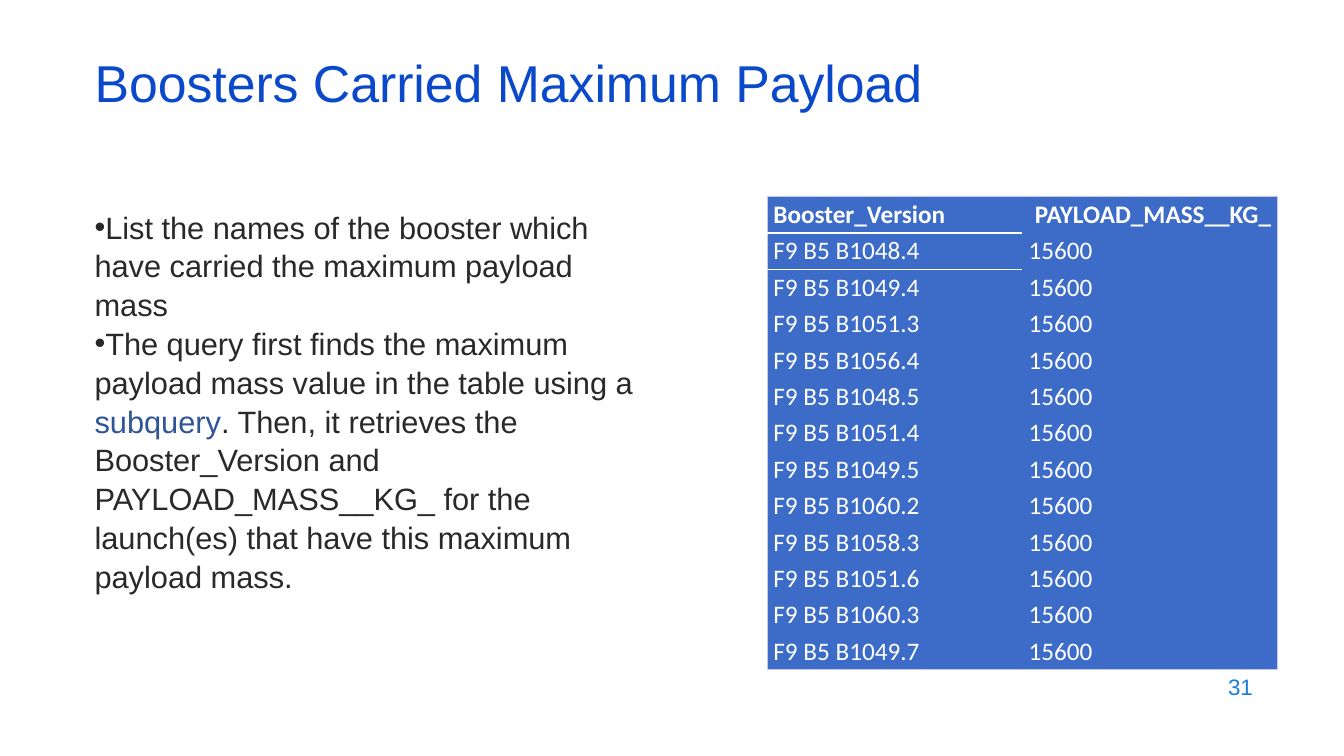
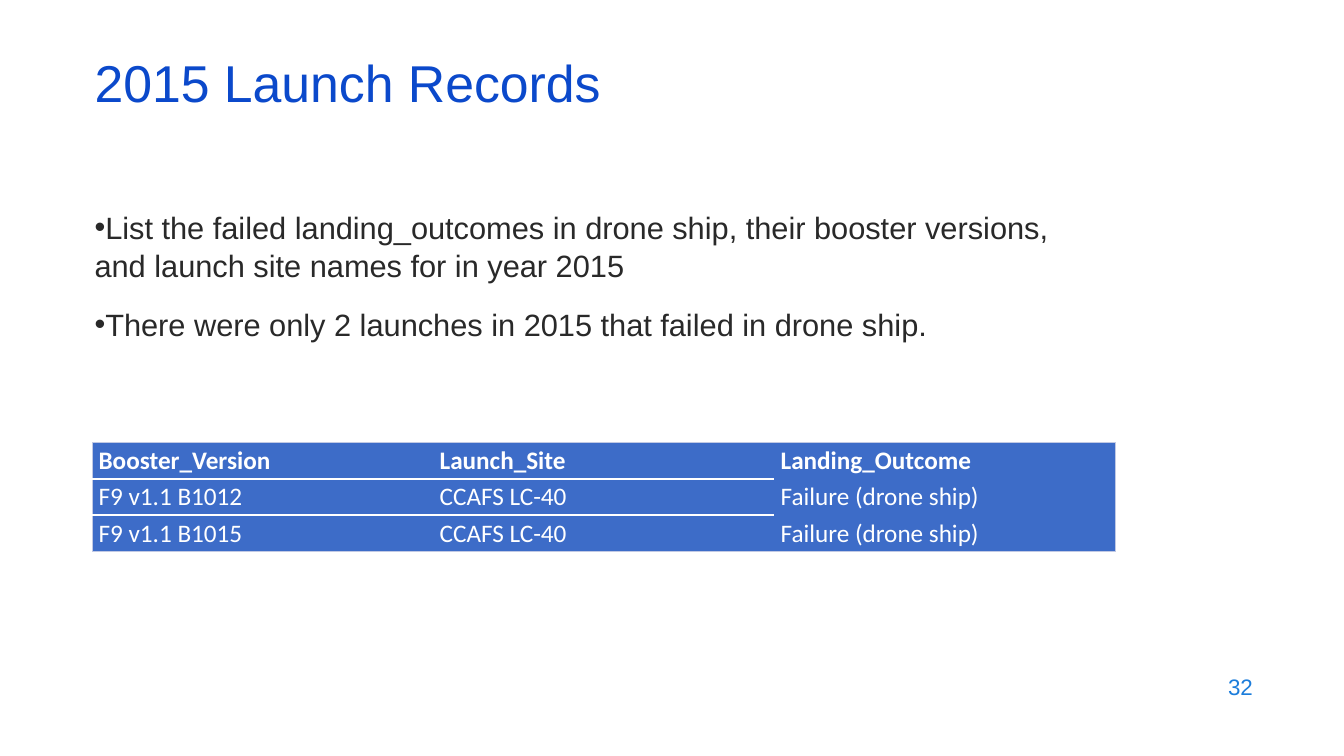
from dataclasses import dataclass

from lxml import etree
from pptx import Presentation
from pptx.dml.color import RGBColor
from pptx.enum.text import MSO_ANCHOR, PP_ALIGN
from pptx.oxml.ns import qn
from pptx.util import Pt

MIDDLE = MSO_ANCHOR.MIDDLE
TOP = MSO_ANCHOR.TOP
LEFT = PP_ALIGN.LEFT
RIGHT = PP_ALIGN.RIGHT
BLANK_LAYOUT = 6
NO_TABLE_STYLE = "{2D5ABB26-0587-4C30-8999-92F81FD0307C}"


@dataclass(frozen=True)
class Theme:
    font: str = "Arial"
    table_font: str = "Calibri"
    title_color: str = "0B49CB"
    body_color: str = "292929"
    accent_color: str = "2F5597"
    number_color: str = "1C7DDB"
    table_fill: str = "3D6CC8"
    table_text: str = "FFFFFF"
    table_edge: str = "C1C9E4"
    title_size: int = 37
    body_size: int = 22
    table_size: int = 18
    number_size: int = 16
    body_spacing: float = 1.05
    title_spacing: float = 0.7
    left: float = 60.5
    body_top: float = 144
    body_height: float = 343
    row_height: float = 26


THEME = Theme()


def format_run(run, size, color, font=THEME.font, bold=False):
    run.font.name = font
    run.font.size = Pt(size)
    run.font.bold = bold
    run.font.color.rgb = RGBColor.from_string(color)


def add_text_frame(slide, left, top, width, height, anchor):
    shape = slide.shapes.add_textbox(Pt(left), Pt(top), Pt(width), Pt(height))
    text_frame = shape.text_frame
    text_frame.word_wrap = True
    text_frame.vertical_anchor = anchor
    return text_frame


def add_line(slide, text, box, size, color, alignment=LEFT, spacing=1.0):
    text_frame = add_text_frame(slide, *box, MIDDLE)
    text_frame.text = text
    paragraph = text_frame.paragraphs[0]
    paragraph.alignment = alignment
    paragraph.line_spacing = spacing
    format_run(paragraph.runs[0], size, color)


def add_bullet(paragraph):
    properties = paragraph._p.get_or_add_pPr()
    properties.set("marL", "0")
    properties.set("indent", "0")
    etree.SubElement(properties, qn("a:buFont")).set("typeface", THEME.font)
    etree.SubElement(properties, qn("a:buChar")).set("char", "•")


def add_bullets(slide, items, width, gap, accent=None):
    text_frame = add_text_frame(
        slide, THEME.left, THEME.body_top, width, THEME.body_height, TOP)
    for index, item in enumerate(items):
        paragraph = text_frame.add_paragraph() if index else text_frame.paragraphs[0]
        add_bullet(paragraph)
        paragraph.line_spacing = THEME.body_spacing
        paragraph.space_before = Pt(gap if index else 0)
        for part in item:
            run = paragraph.add_run()
            run.text = part
            color = THEME.accent_color if part == accent else THEME.body_color
            format_run(run, THEME.body_size, color)


def add_border(cell, side, color, width):
    properties = cell._tc.get_or_add_tcPr()
    line = etree.SubElement(properties, qn(f"a:ln{side}"), w=str(Pt(width)))
    fill = etree.SubElement(line, qn("a:solidFill"))
    etree.SubElement(fill, qn("a:srgbClr"), val=color)


def add_cell_borders(cell, row, column, last_row, last_column):
    edge = (THEME.table_edge, 0.5)
    rule = (THEME.table_text, 1.5)
    ruled = column < last_column
    if column == 0:
        add_border(cell, "L", *edge)
    if column == last_column:
        add_border(cell, "R", *edge)
    if row == 0:
        add_border(cell, "T", *edge)
    elif row == 1 and ruled:
        add_border(cell, "T", *rule)
    if row == last_row:
        add_border(cell, "B", *edge)
    elif row == 0 and ruled:
        add_border(cell, "B", *rule)


def fill_cell(cell, text, bold, alignment):
    cell.fill.solid()
    cell.fill.fore_color.rgb = RGBColor.from_string(THEME.table_fill)
    cell.vertical_anchor = MIDDLE
    cell.margin_left = cell.margin_right = Pt(4.5)
    cell.margin_top = cell.margin_bottom = Pt(2)
    cell.text_frame.text = text
    paragraph = cell.text_frame.paragraphs[0]
    paragraph.alignment = alignment
    format_run(paragraph.runs[0], THEME.table_size, THEME.table_text,
               THEME.table_font, bold)


def add_records(slide, records, left, top, column_width, last_header=LEFT):
    row_count, column_count = len(records), len(records[0])
    frame = slide.shapes.add_table(
        row_count, column_count, Pt(left), Pt(top),
        Pt(column_width * column_count), Pt(THEME.row_height * row_count))
    table = frame.table
    table.horz_banding = False
    table._tbl.tblPr.find(qn("a:tableStyleId")).text = NO_TABLE_STYLE
    for column in table.columns:
        column.width = Pt(column_width)
    for row, record in enumerate(records):
        table.rows[row].height = Pt(THEME.row_height)
        for column, text in enumerate(record):
            cell = table.cell(row, column)
            is_last_header = row == 0 and column == column_count - 1
            add_cell_borders(cell, row, column, row_count - 1, column_count - 1)
            fill_cell(cell, text, row == 0, last_header if is_last_header else LEFT)


def add_slide(presentation, title, number):
    slide = presentation.slides.add_slide(presentation.slide_layouts[BLANK_LAYOUT])
    add_line(slide, str(number), (686, 474.5, 216, 32), THEME.number_size,
             THEME.number_color, RIGHT)
    add_line(slide, title, (THEME.left, 42.5, 828, 43), THEME.title_size,
             THEME.title_color, spacing=THEME.title_spacing)
    return slide


def add_payload_slide(presentation):
    slide = add_slide(presentation, "Boosters Carried Maximum\u00a0Payload", 31)
    bullets = [
        ["List the names of the booster which have carried the maximum payload mass"],
        ["The query first finds the maximum payload mass value in the table using a ",
         "subquery",
         ". Then, it retrieves the Booster_Version and PAYLOAD_MASS__KG_ for the "
         "launch(es) that have this maximum payload mass."],
    ]
    add_bullets(slide, bullets, width=402, gap=0, accent="subquery")
    boosters = ["B1048.4", "B1049.4", "B1051.3", "B1056.4", "B1048.5", "B1051.4",
                "B1049.5", "B1060.2", "B1058.3", "B1051.6", "B1060.3", "B1049.7"]
    records = [("Booster_Version", "PAYLOAD_MASS__KG_")]
    records += [(f"F9 B5 {booster}", "15600") for booster in boosters]
    add_records(slide, records, 548, 140.5, 182.25, last_header=RIGHT)


def add_launch_slide(presentation):
    slide = add_slide(presentation, "2015 Launch Records", 32)
    bullets = [
        ["List the failed\u00a0landing_outcomes in drone ship, their booster versions, "
         "and\u00a0launch site names for in year 2015"],
        ["There were only 2 launches in 2015 that failed in drone ship."],
    ]
    add_bullets(slide, bullets, width=767.5, gap=14)
    records = [("Booster_Version", "Launch_Site", "Landing_Outcome")]
    records += [(f"F9 v1.1 {booster}", "CCAFS LC-40", "Failure (drone ship)")
                for booster in ("B1012", "B1015")]
    add_records(slide, records, 66, 316, 243.6)


def main():
    presentation = Presentation()
    presentation.slide_width = Pt(960)
    presentation.slide_height = Pt(540)
    add_payload_slide(presentation)
    add_launch_slide(presentation)
    presentation.save("out.pptx")


if __name__ == "__main__":
    main()
